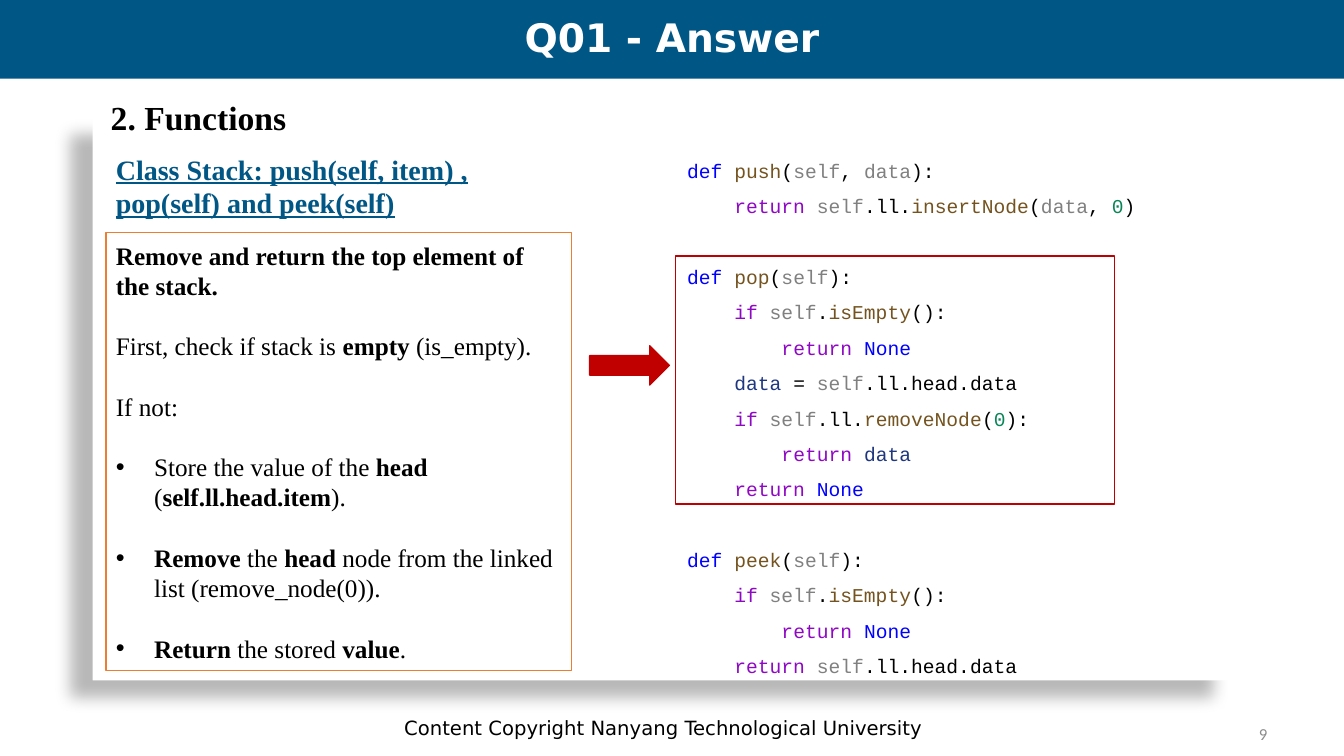
"""Build the stack functions answer slide with its explanation and code."""
from dataclasses import dataclass, field
from typing import Any, NamedTuple

from lxml.etree import SubElement
from pptx import Presentation
from pptx.dml.color import RGBColor
from pptx.enum.shapes import MSO_SHAPE
from pptx.enum.text import MSO_ANCHOR, PP_ALIGN
from pptx.oxml.ns import qn
from pptx.slide import Slide
from pptx.util import Inches, Pt

WIDTH, HEIGHT = Inches(13.333), Inches(7.5)


class Area(NamedTuple):
    """Hold a position and size as percentages of the slide."""
    left: float
    top: float
    width: float
    height: float

    def lengths(self) -> list[int]:
        """Convert the percentages to slide lengths."""
        return [round(share * side / 100) for share, side in zip(self, (WIDTH, HEIGHT) * 2)]


@dataclass(frozen=True)
class Theme:
    """Keep the colours and text formats of the slide."""
    white: str = "FFFFFF"
    black: str = "000000"
    blue: str = "005684"
    orange: str = "ED7D31"
    red: str = "C00000"
    grey: str = "8C8C8C"
    title: dict[str, Any] = field(default_factory=lambda: {"name": "DejaVu Sans", "size": Pt(28), "bold": True})
    footer: dict[str, Any] = field(default_factory=lambda: {"name": "DejaVu Sans", "size": Pt(14)})
    number: dict[str, Any] = field(default_factory=lambda: {"name": "Calibri", "size": Pt(12)})
    section: dict[str, Any] = field(
        default_factory=lambda: {"name": "Times New Roman", "size": Pt(24), "bold": True})
    heading: dict[str, Any] = field(
        default_factory=lambda: {"name": "Times New Roman", "size": Pt(20), "bold": True, "underline": True})
    steps: dict[str, Any] = field(default_factory=lambda: {"name": "Times New Roman", "size": Pt(18)})
    code: dict[str, Any] = field(default_factory=lambda: {"name": "Courier New", "size": Pt(14)})
    steps_line: Any = Pt(21.6)
    code_line: Any = Pt(25.25)
    syntax: dict[str, str] = field(default_factory=lambda: {
        "keyword": "0000FF", "flow": "8F08C4", "function": "74531F",
        "parameter": "808080", "local": "1F377F", "number": "098658"})


THEME = Theme()


class Piece(NamedTuple):
    """Describe a run of text with its own colour or weight."""
    text: str
    color: str = THEME.black
    bold: bool = False


class Line(NamedTuple):
    """Describe one paragraph and the gap above it."""
    pieces: list[Piece]
    gap: Any = Pt(0)
    bullet: bool = False


class Box(NamedTuple):
    """Describe a filled or outlined shape."""
    area: Area
    fill: str | None = None
    outline: str | None = None
    kind: MSO_SHAPE = MSO_SHAPE.RECTANGLE


class Label(NamedTuple):
    """Describe a single-paragraph text box."""
    area: Area
    text: str
    color: str
    font: dict[str, Any]
    align: PP_ALIGN = PP_ALIGN.LEFT
    anchor: MSO_ANCHOR = MSO_ANCHOR.TOP
    spacing: Any = None


def apply(target: Any, values: dict[str, Any]) -> None:
    """Set each named attribute on the target."""
    for name, value in values.items():
        setattr(target, name, value)


def draw_box(slide: Slide, box: Box) -> Any:
    """Draw a shape without the default shadow."""
    shape = slide.shapes.add_shape(box.kind, *box.area.lengths())
    shape.shadow.inherit = False
    if box.fill:
        shape.fill.solid()
        shape.fill.fore_color.rgb = RGBColor.from_string(box.fill)
    else:
        shape.fill.background()
    if box.outline:
        shape.line.color.rgb = RGBColor.from_string(box.outline)
        shape.line.width = Pt(1)
    else:
        shape.line.fill.background()
    return shape


def cast_shadow(shape: Any) -> None:
    """Add the soft shadow behind the content panel."""
    effects = shape.element.spPr.find(qn("a:effectLst"))
    shadow = SubElement(effects, qn("a:outerShdw"), blurRad=str(Pt(11.8)), dist=str(Pt(19.7)),
                        dir=str(141 * 60000), algn="tr", rotWithShape="0")
    color = SubElement(shadow, qn("a:srgbClr"), val=THEME.black)
    SubElement(color, qn("a:alpha"), val="28000")


def write_lines(shape: Any, lines: list[Line], font: dict[str, Any], spacing: Any = None,
                align: PP_ALIGN = PP_ALIGN.LEFT, anchor: MSO_ANCHOR = MSO_ANCHOR.TOP) -> None:
    """Fill a text frame with formatted paragraphs."""
    frame = shape.text_frame
    apply(frame, {"word_wrap": True, "vertical_anchor": anchor})
    for index, line in enumerate(lines):
        paragraph = frame.add_paragraph() if index else frame.paragraphs[0]
        apply(paragraph, {"alignment": align, "line_spacing": spacing, "space_before": line.gap})
        if line.bullet:
            properties = paragraph._p.get_or_add_pPr()
            properties.set("marL", str(Inches(0.38)))
            properties.set("indent", str(-Inches(0.38)))
            SubElement(properties, qn("a:buFont"), typeface="Arial")
            SubElement(properties, qn("a:buChar"), char="•")
        for piece in line.pieces:
            run = paragraph.add_run()
            run.text = piece.text
            apply(run.font, {"bold": piece.bold} | font)
            run.font.color.rgb = RGBColor.from_string(piece.color)


def draw_label(slide: Slide, label: Label) -> None:
    """Draw a text box with one paragraph."""
    shape = slide.shapes.add_textbox(*label.area.lengths())
    write_lines(shape, [Line([Piece(label.text, label.color)])], label.font,
                label.spacing, label.align, label.anchor)


def step(markup: str, bullet: bool = False, first: bool = False) -> Line:
    """Turn text with starred bold parts into a paragraph."""
    pieces = [Piece(text, bold=index % 2 == 1) for index, text in enumerate(markup.split("*")) if text]
    return Line(pieces, Pt(0) if first else THEME.steps_line, bullet)


def code_line(depth: int, markup: str, gap: bool = False) -> Line:
    """Turn bar-separated tokens with optional syntax names into a line of code."""
    pieces = [Piece(" " * 4 * depth)]
    for token in markup.split("|"):
        name, _, text = token.partition("~")
        pieces.append(Piece(text, THEME.syntax[name]) if text else Piece(token))
    return Line(pieces, THEME.code_line if gap else Pt(0))


PANEL = Box(Area(6.9, 15.6, 84.98, 74.4), THEME.white)
BAND = Box(Area(0, 0, 100, 10.4), THEME.blue)
STEPS_BOX = Box(Area(7.88, 30.8, 34.65, 57.87), THEME.white, THEME.orange)
ARROW = Box(Area(43.88, 45.73, 5.93, 5.2), THEME.red, THEME.red, MSO_SHAPE.RIGHT_ARROW)
POP_FRAME = Box(Area(50.25, 33.87, 32.7, 32.8), outline=THEME.red)
CODE_AREA = Area(46.88, 18.8, 50.02, 71.47)
LABELS = [
    Label(Area(13.43, 93.6, 71.85, 5.33), "Content Copyright Nanyang Technological University",
          THEME.black, THEME.footer, PP_ALIGN.CENTER, MSO_ANCHOR.MIDDLE),
    Label(Area(71.7, 94.4, 23.33, 5.33), "9", THEME.grey, THEME.number, PP_ALIGN.RIGHT, MSO_ANCHOR.MIDDLE),
    Label(Area(0, 0.53, 100, 9.47), "Q01 - Answer", THEME.white, THEME.title,
          PP_ALIGN.CENTER, MSO_ANCHOR.MIDDLE, 0.9),
    Label(Area(7.5, 12.13, 23.78, 6.67), "2. Functions", THEME.black, THEME.section),
    Label(Area(7.88, 19.47, 33.98, 10.27), "Class Stack: push(self, item) , pop(self) and peek(self)",
          THEME.blue, THEME.heading),
]
STEPS = [
    step("*Remove and return the top element of the stack.*", first=True),
    step("First, check if stack is *empty* (is_empty)."),
    step("If not:"),
    step("Store the value of the *head* (*self.ll.head.item*).", bullet=True),
    step("*Remove* the *head* node from the linked list (remove_node(0)).", bullet=True),
    step("*Return* the stored *value*.", bullet=True),
]
CODE = [
    code_line(1, "keyword~def |function~push|(|parameter~self|, |parameter~data|):"),
    code_line(2, "flow~return |parameter~self|.ll.|function~insertNode|(|parameter~data|, |number~0|)"),
    code_line(1, "keyword~def |function~pop|(|parameter~self|):", gap=True),
    code_line(2, "flow~if |parameter~self|.|function~isEmpty|():"),
    code_line(3, "flow~return |keyword~None"),
    code_line(2, "local~data| = |parameter~self|.ll.head.data"),
    code_line(2, "flow~if |parameter~self|.ll.|function~removeNode|(|number~0|):"),
    code_line(3, "flow~return |local~data"),
    code_line(2, "flow~return |keyword~None"),
    code_line(1, "keyword~def |function~peek|(|parameter~self|):", gap=True),
    code_line(2, "flow~if |parameter~self|.|function~isEmpty|():"),
    code_line(3, "flow~return |keyword~None"),
    code_line(2, "flow~return |parameter~self|.ll.head.data"),
]


def main() -> None:
    """Build and save the presentation."""
    presentation = Presentation()
    apply(presentation, {"slide_width": WIDTH, "slide_height": HEIGHT})
    slide = presentation.slides.add_slide(presentation.slide_layouts[6])
    cast_shadow(draw_box(slide, PANEL))
    draw_box(slide, BAND)
    write_lines(slide.shapes.add_textbox(*CODE_AREA.lengths()), CODE, THEME.code, THEME.code_line)
    for label in LABELS:
        draw_label(slide, label)
    write_lines(draw_box(slide, STEPS_BOX), STEPS, THEME.steps, THEME.steps_line, anchor=MSO_ANCHOR.MIDDLE)
    for box in (ARROW, POP_FRAME):
        draw_box(slide, box)
    presentation.save("out.pptx")


if __name__ == "__main__":
    main()
